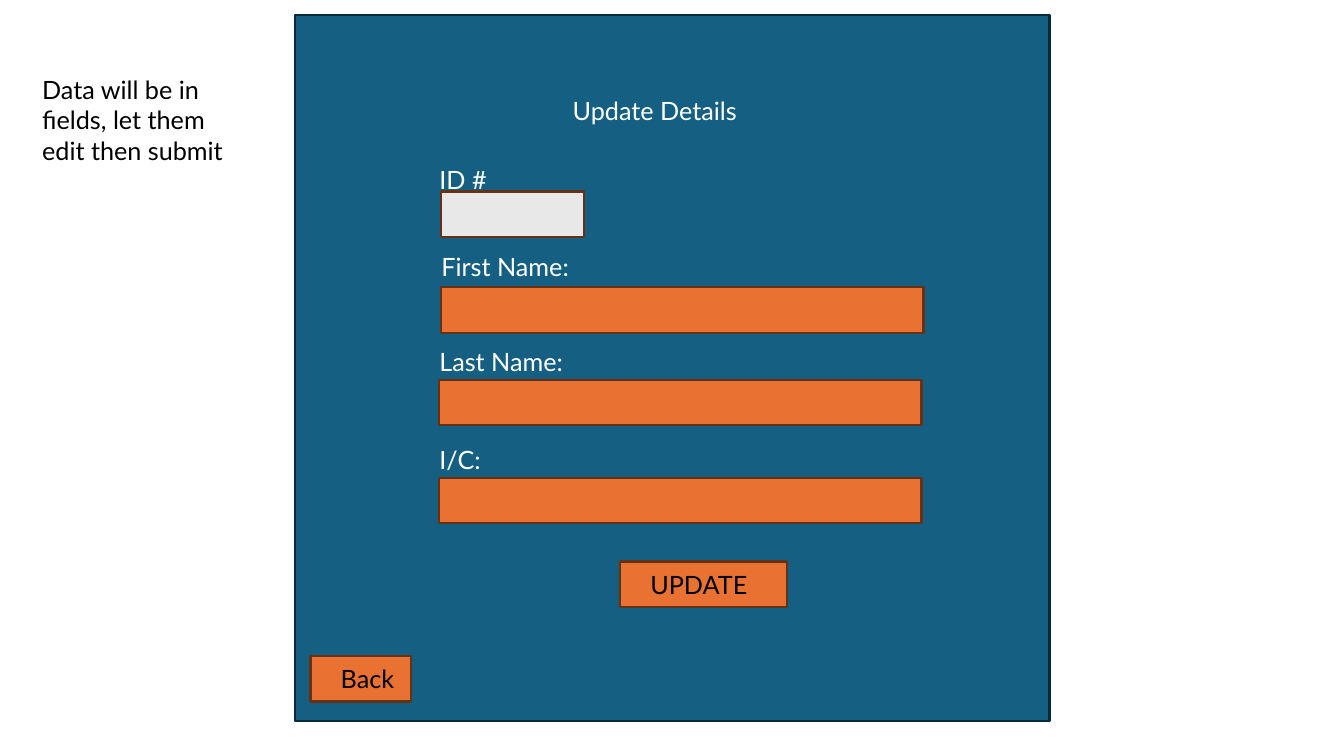
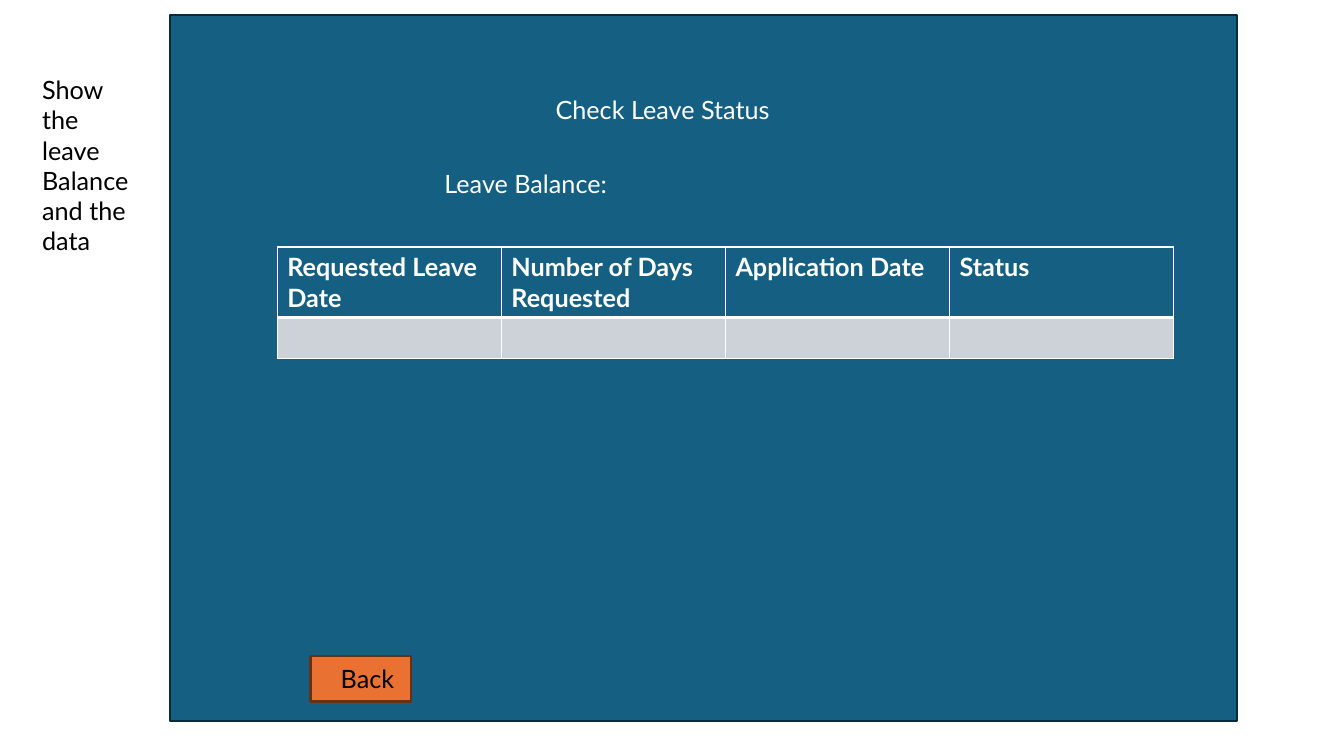
"""Builds two wireframe screens of a leave application."""
from dataclasses import dataclass

from lxml import etree
from pptx import Presentation
from pptx.dml.color import RGBColor
from pptx.enum import shapes, text
from pptx.oxml import ns
from pptx.util import Inches, Pt


@dataclass(frozen=True)
class Theme:
    """Colours, type and line widths shared by the screens."""
    font: str = "Lato"
    size: int = 18
    panel: str = "156082"
    panel_edge: str = "092A39"
    accent: str = "E97132"
    accent_edge: str = "663216"
    locked: str = "E8E8E8"
    row: str = "CCD2D8"
    light: str = "FFFFFF"
    dark: str = "000000"
    edge: float = 1.5
    rule: float = 1
    header_rule: float = 3
    control_height: float = 0.45
    label_height: float = 0.4


THEME = Theme()


@dataclass(frozen=True)
class Box:
    """A region of the slide in inches."""
    left: float
    top: float
    width: float
    height: float

    def inner(self, dx, dy, width, height):
        """Return a box offset from this one's corner."""
        return Box(self.left + dx, self.top + dy, width, height)

    def lengths(self):
        """Return left, top, width and height as lengths."""
        return [Inches(v) for v in (self.left, self.top, self.width, self.height)]


def write(frame, lines, color, bold=False):
    """Fill a text frame with one left-aligned paragraph per line."""
    for index, line in enumerate(lines):
        paragraph = frame.paragraphs[0] if index == 0 else frame.add_paragraph()
        paragraph.alignment = text.PP_ALIGN.LEFT
        run = paragraph.add_run()
        run.text = line
        run.font.name = THEME.font
        run.font.size = Pt(THEME.size)
        run.font.bold = bold
        run.font.color.rgb = RGBColor.from_string(color)


def add_label(slide, box, lines, color=THEME.light):
    """Add a wrapping text box."""
    frame = slide.shapes.add_textbox(*box.lengths()).text_frame
    frame.word_wrap = True
    write(frame, lines, color)


def add_rect(slide, box, fill, edge):
    """Add an outlined rectangle without shadow."""
    rect = slide.shapes.add_shape(shapes.MSO_SHAPE.RECTANGLE, *box.lengths())
    rect.shadow.inherit = False
    rect.fill.solid()
    rect.fill.fore_color.rgb = RGBColor.from_string(fill)
    rect.line.color.rgb = RGBColor.from_string(edge)
    rect.line.width = Pt(THEME.edge)
    return rect


def add_button(slide, box, caption):
    """Add a button with an indented caption."""
    frame = add_rect(slide, box, THEME.accent, THEME.accent_edge).text_frame
    frame.margin_left = Inches(0.3)
    frame.margin_right = 0
    frame.word_wrap = False
    frame.vertical_anchor = text.MSO_ANCHOR.MIDDLE
    write(frame, [caption], THEME.dark)


def add_title(slide, box, caption):
    """Place and format the title placeholder."""
    title = slide.shapes.title
    title.left, title.top, title.width, title.height = box.lengths()
    frame = title.text_frame
    frame.auto_size = text.MSO_AUTO_SIZE.NONE
    frame.vertical_anchor = text.MSO_ANCHOR.TOP
    frame.word_wrap = True
    write(frame, [caption], THEME.light)


def add_screen(deck, panel, title_at, caption, note_box, note, back_x):
    """Add a slide with its panel, title, side note and back button."""
    slide = deck.slides.add_slide(deck.slide_layouts[5])
    backdrop = add_rect(slide, panel, THEME.panel, THEME.panel_edge)
    slide.shapes.title._element.addprevious(backdrop._element)
    add_title(slide, panel.inner(*title_at, 3.11, THEME.label_height), caption)
    add_label(slide, note_box, note, THEME.dark)
    add_button(slide, panel.inner(back_x, 6.36, 1, THEME.control_height), "Back")
    return slide


def add_field(slide, box, caption, label_shift, fill=THEME.accent):
    """Add an input field with its caption above."""
    add_rect(slide, box, fill, THEME.accent_edge)
    add_label(slide, box.inner(*label_shift, 2.8, THEME.label_height), [caption])


def set_borders(cell, bottom):
    """Draw the four borders of a table cell."""
    properties = cell._tc.get_or_add_tcPr()
    for side in "LRTB":
        width = bottom if side == "B" else THEME.rule
        line = etree.SubElement(properties, ns.qn(f"a:ln{side}"), w=str(Pt(width)))
        fill = etree.SubElement(line, ns.qn("a:solidFill"))
        etree.SubElement(fill, ns.qn("a:srgbClr"), val=THEME.light)


def add_leave_table(slide, box, headings):
    """Add the table of leave requests with one empty row."""
    table = slide.shapes.add_table(2, len(headings), *box.lengths()).table
    for column in table.columns:
        column.width = Inches(box.width / len(headings))
    row_height = 0.41
    table.rows[0].height = Inches(box.height - row_height)
    table.rows[1].height = Inches(row_height)
    for index, heading in enumerate(headings):
        header, entry = table.cell(0, index), table.cell(1, index)
        for cell, fill, bottom in ((header, THEME.panel, THEME.header_rule),
                                   (entry, THEME.row, THEME.rule)):
            set_borders(cell, bottom)
            cell.fill.solid()
            cell.fill.fore_color.rgb = RGBColor.from_string(fill)
        set_top = entry._tc.tcPr.find(ns.qn("a:lnT"))
        set_top.set("w", str(Pt(THEME.header_rule)))
        write(header.text_frame, [heading], THEME.light, bold=True)


def build_update_details(deck, panel):
    """Build the form for editing personal details."""
    slide = add_screen(deck, panel, (2.65, 0.75), "Update Details",
                       Box(0.32, 0.69, 2.2, 1.01),
                       ["Data will be in fields, let them edit then submit"], 0.15)
    height = THEME.control_height
    add_field(slide, panel.inner(1.44, 1.75, 1.42, height), "ID #",
              (-0.11, -0.32), THEME.locked)
    for caption, x, y, rise in (("First Name:", 1.44, 2.7, 0.41),
                                ("Last Name:", 1.42, 3.62, 0.38),
                                ("I/C:", 1.42, 4.59, 0.38)):
        add_field(slide, panel.inner(x, y, 4.79, height), caption, (-0.09, -rise))
    add_button(slide, panel.inner(3.22, 5.42, 1.66, height), "UPDATE")


def build_leave_status(deck, panel):
    """Build the overview of leave balance and requests."""
    slide = add_screen(deck, panel, (3.72, 0.74), "Check Leave Status",
                       Box(0.32, 0.69, 1.14, 1.92),
                       ["Show the leave", "Balance and the data"], 1.39)
    add_label(slide, panel.inner(2.62, 1.47, 2.2, THEME.label_height),
              ["Leave Balance:"])
    add_leave_table(slide, panel.inner(1.06, 2.3, 8.89, 1.11),
                    ["Requested Leave Date", "Number of Days Requested",
                     "Application Date", "Status"])


def main():
    """Build and save the deck."""
    deck = Presentation()
    deck.slide_width, deck.slide_height = Inches(13.33), Inches(7.5)
    build_update_details(deck, Box(2.93, 0.15, 7.48, 7))
    build_leave_status(deck, Box(1.69, 0.15, 10.58, 7))
    deck.save("out.pptx")


if __name__ == "__main__":
    main()
